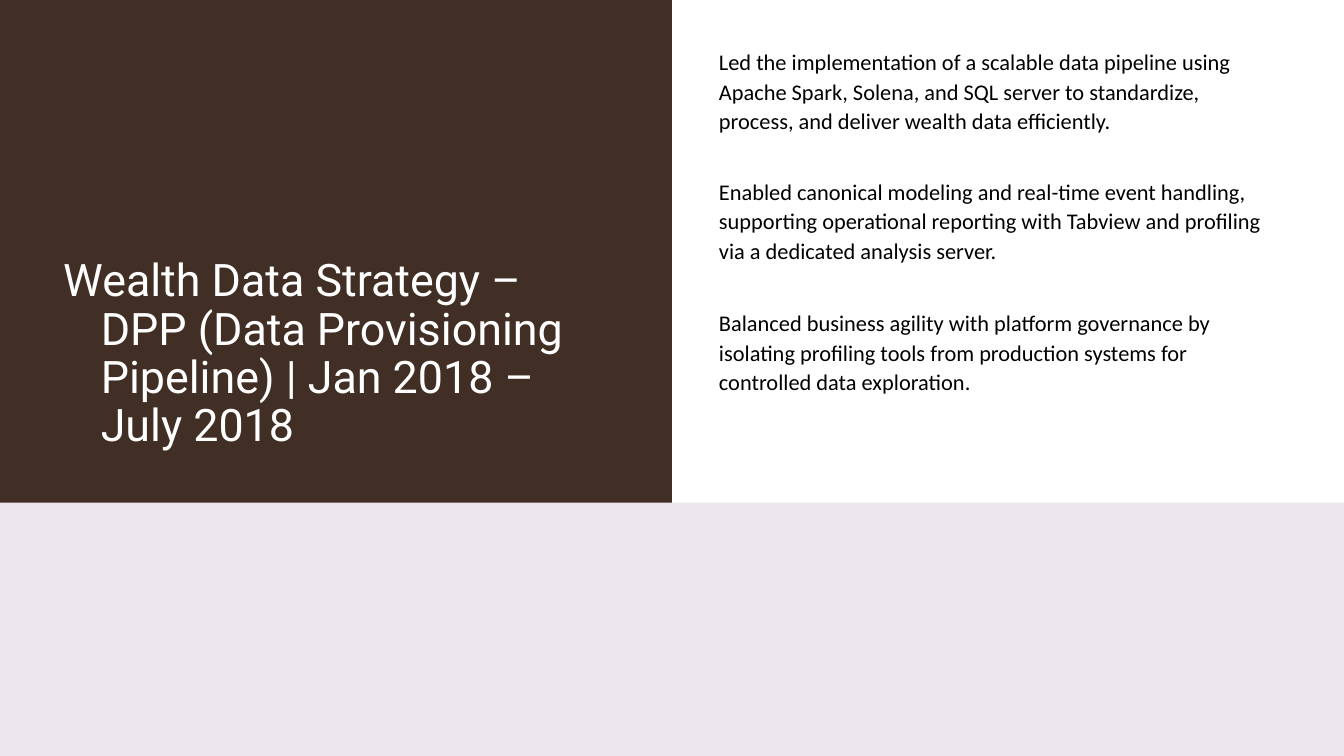
"""Builds the Wealth Data Strategy project slide."""
import pptx
import pptx.dml.color
import pptx.enum.shapes
import pptx.enum.text
import pptx.util
from pptx.util import Inches


def color(hex_string):
    return pptx.dml.color.RGBColor.from_string(hex_string)


def format_frame(shape, anchor):
    frame = shape.text_frame
    frame.word_wrap = True
    frame.auto_size = pptx.enum.text.MSO_AUTO_SIZE.NONE
    frame.vertical_anchor = anchor
    frame.margin_left = frame.margin_right = Inches(0.07)
    frame.margin_top = frame.margin_bottom = Inches(0.04)
    return frame


presentation = pptx.Presentation()
presentation.slide_width = Inches(10)
presentation.slide_height = Inches(10) * 9 // 16
slide = presentation.slides.add_slide(presentation.slide_layouts[5])
slide.background.fill.solid()
slide.background.fill.fore_color.rgb = color("FFFFFF")

title = slide.shapes.title
title.left, title.top = Inches(0.4), Inches(0.3)
title.width, title.height = Inches(4.25), Inches(3.1)
frame = format_frame(title, pptx.enum.text.MSO_ANCHOR.BOTTOM)
frame.text = "Wealth Data Strategy – DPP (Data Provisioning Pipeline) | Jan 2018 – July 2018"
paragraph = frame.paragraphs[0]
paragraph.alignment = pptx.enum.text.PP_ALIGN.LEFT
paragraph.line_spacing = 0.9
paragraph.font.name = "Roboto"
paragraph.font.size = pptx.util.Pt(24)
paragraph.font.color.rgb = color("FFFFFF")
properties = paragraph._p.get_or_add_pPr()
properties.set("marL", str(Inches(0.28)))
properties.set("indent", str(Inches(-0.28)))

panels = [
    (0, 3.74, 10, 1.88, "ECE7EC"),
    (0, 0, 5, 3.74, "412E24"),
]
for left, top, width, height, fill in panels:
    panel = slide.shapes.add_shape(
        pptx.enum.shapes.MSO_SHAPE.RECTANGLE,
        Inches(left), Inches(top), Inches(width), presentation.slide_height - Inches(top)
        if top else Inches(height))
    panel.shadow.inherit = False
    panel.fill.solid()
    panel.fill.fore_color.rgb = color(fill)
    panel.line.fill.background()
    title._element.addprevious(panel._element)

achievements = [
    ("Led the implementation of a scalable data pipeline using Apache Spark, Solena, "
     "and SQL server to standardize, process, and deliver wealth data efficiently.", 0),
    ("Enabled canonical modeling and real-time event handling, supporting operational "
     "reporting with Tabview and profiling via a dedicated analysis server.", 22),
    ("Balanced business agility with platform governance by isolating profiling tools "
     "from production systems for controlled data exploration.", 23),
]
body = slide.shapes.add_textbox(Inches(5.28), Inches(0.3), Inches(4.23), Inches(3.09))
frame = format_frame(body, pptx.enum.text.MSO_ANCHOR.TOP)
frame.text = "\n".join(text for text, space in achievements)
for paragraph, (text, space) in zip(frame.paragraphs, achievements):
    paragraph.line_spacing = 1.1
    paragraph.space_before = pptx.util.Pt(space)
    paragraph.font.name = "Calibri"
    paragraph.font.size = pptx.util.Pt(12)
    paragraph.font.color.rgb = color("000000")

presentation.save("out.pptx")
